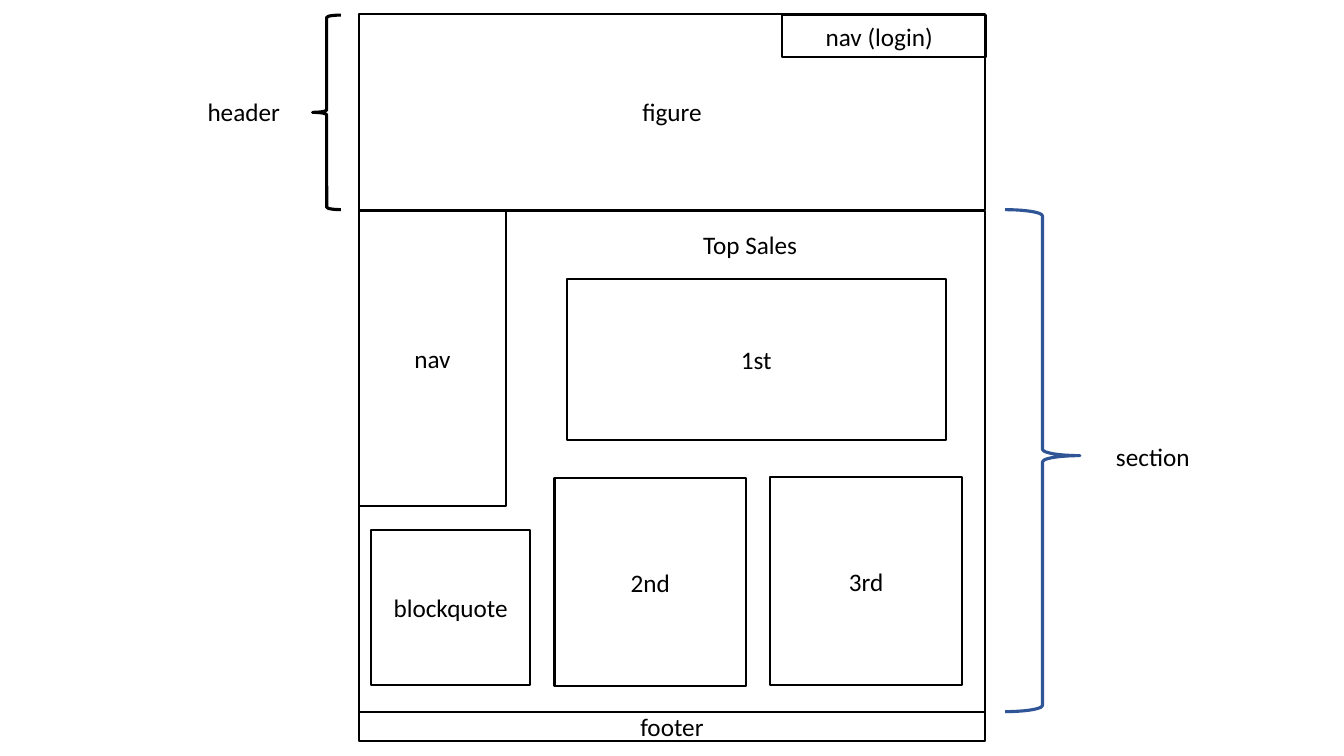
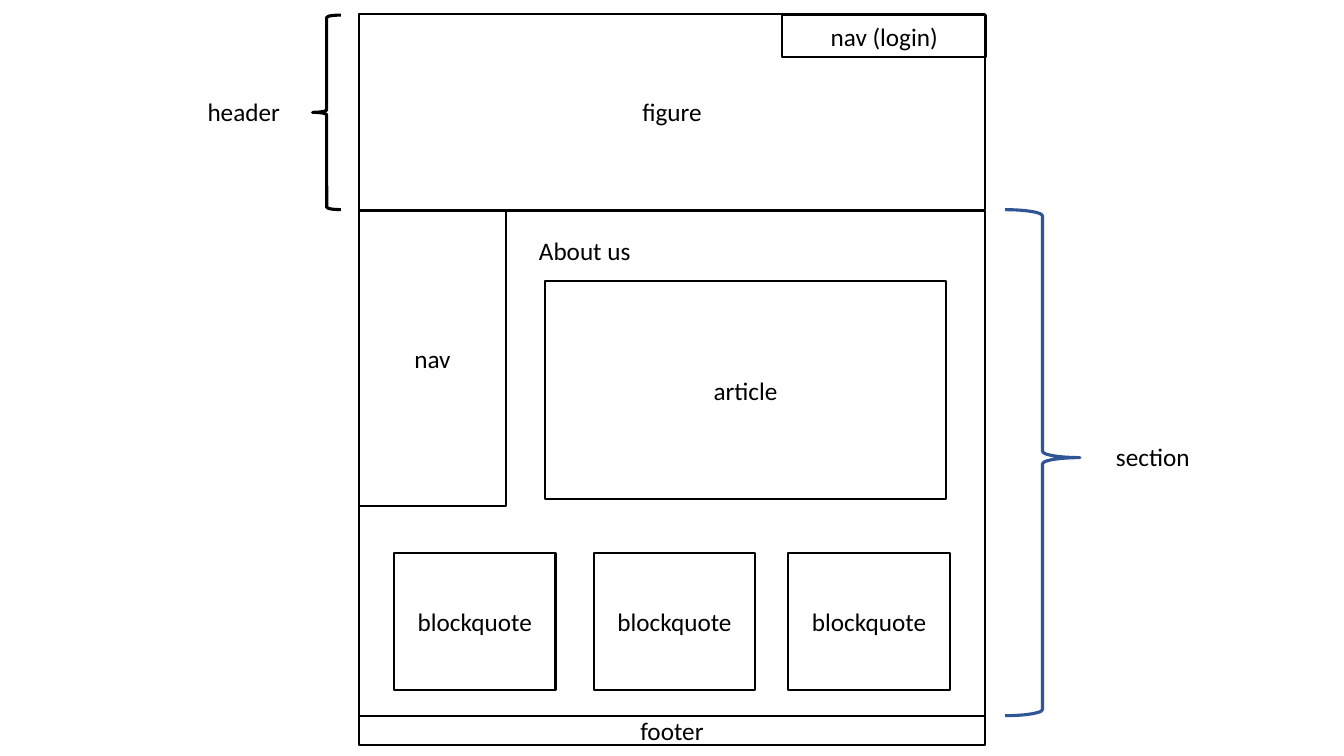
from pptx import Presentation
from pptx.dml.color import RGBColor
from pptx.enum.shapes import MSO_SHAPE
from pptx.enum.text import MSO_ANCHOR, MSO_AUTO_SIZE, PP_ALIGN
from pptx.util import Pt

PX = 9144  # EMU per px, 100 px to the inch
BLACK = RGBColor(0x00, 0x00, 0x00)
BLUE = RGBColor(0x2F, 0x55, 0x97)
FONT = "Calibri"
LEFT, CENTER = PP_ALIGN.LEFT, PP_ALIGN.CENTER

# Shared page frame: left edge, width, top of the section
EDGE, WIDE, TOP = 356, 621, 209

# Boxes and labels on every page: text, (left, top, width, height)
FRAME = [
    ("figure", (EDGE, 14, WIDE, 194)),
    ("nav", (EDGE, TOP, 146, 293)),
]
SIDES = [
    ("header", (196, 91, 115, 40), LEFT),
    ("section", (1097, 433, 115, 40), LEFT),
]
LOGIN = (776, 15, 202, 42)

# What differs from page to page
PAGES = [
    {
        "depth": 497,
        "boxes": [
            ("", LOGIN),
            ("1st", (562, 277, 376, 160)),
            ("2nd", (550, 474, 190, 207)),
            ("3rd", (764, 473, 190, 207)),
            ("blockquote", (368, 526, 158, 154)),
        ],
        "labels": [
            ("Top Sales", (657, 223, 174, 40), CENTER),
            ("nav (login)", (809, 16, 168, 40), LEFT),
        ],
    },
    {
        "depth": 501,
        "boxes": [
            ("nav (login)", LOGIN),
            ("article", (541, 279, 397, 216)),
            *[("blockquote", (x, 549, 160, 136)) for x in (391, 589, 782)],
        ],
        "labels": [("About us", (493, 229, 174, 40), CENTER)],
    },
]


def scale(area):
    return [n * PX for n in area]


def write(shape, text, align):
    frame = shape.text_frame
    frame.word_wrap = True
    frame.text = text
    para = frame.paragraphs[0]
    para.alignment = align
    for run in para.runs:
        run.font.name = FONT
        run.font.size = Pt(18)
        run.font.color.rgb = BLACK


def draw(slide, kind, area, color, weight):
    shape = slide.shapes.add_shape(kind, *scale(area))
    shape.shadow.inherit = False
    shape.fill.background()
    shape.line.color.rgb = color
    shape.line.width = Pt(weight)
    return shape


def box(slide, text, area):
    shape = draw(slide, MSO_SHAPE.RECTANGLE, area, BLACK, 1.5)
    if text:
        shape.text_frame.vertical_anchor = MSO_ANCHOR.MIDDLE
        write(shape, text, CENTER)


def label(slide, text, area, align):
    shape = slide.shapes.add_textbox(*scale(area))
    write(shape, text, align)
    shape.text_frame.auto_size = MSO_AUTO_SIZE.SHAPE_TO_FIT_TEXT


def build(slide, page):
    depth = page["depth"]
    # Section, footer and inner boxes
    outer = [
        ("", (EDGE, TOP, WIDE, depth)),
        ("footer", (EDGE, TOP + depth, WIDE, 29)),
    ]
    for text, area in outer + FRAME + page["boxes"]:
        box(slide, text, area)
    # Braces
    draw(slide, MSO_SHAPE.LEFT_BRACE, (310, 15, 28, 193), BLACK, 2.25)
    brace = draw(slide, MSO_SHAPE.RIGHT_BRACE,
                 (997, TOP - 1, 74, depth + 1), BLUE, 2.25)
    brace.adjustments[1] = 0.49
    # Free labels
    for text, area, align in SIDES + page["labels"]:
        label(slide, text, area, align)


def main():
    deck = Presentation()
    deck.slide_width, deck.slide_height = scale((1333, 750))
    for page in PAGES:
        build(deck.slides.add_slide(deck.slide_layouts[6]), page)
    deck.save("out.pptx")


if __name__ == "__main__":
    main()
